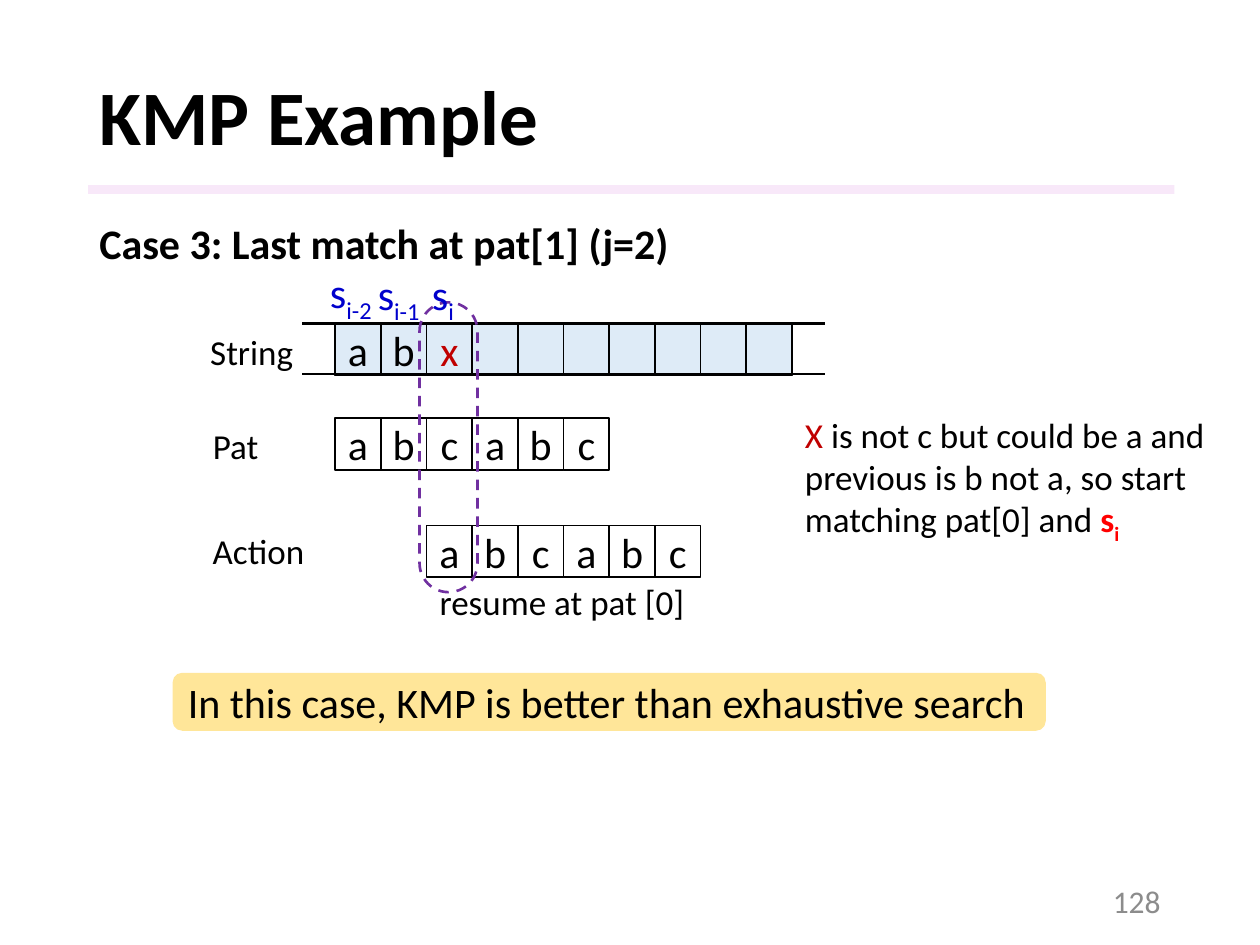
import pptx
import pptx.dml.color
import pptx.enum.dml
import pptx.enum.shapes
import pptx.enum.text
import pptx.oxml.ns
import pptx.util
from lxml import etree

Inches = pptx.util.Inches
Pt = pptx.util.Pt
RGBColor = pptx.dml.color.RGBColor
Shape = pptx.enum.shapes.MSO_SHAPE
Align = pptx.enum.text.PP_ALIGN
Anchor = pptx.enum.text.MSO_ANCHOR

FONT = "Calibri"
BLACK = RGBColor(0x00, 0x00, 0x00)
WHITE = RGBColor(0xFF, 0xFF, 0xFF)
GRAY = RGBColor(0x8C, 0x8C, 0x8C)
PINK = RGBColor(0xF3, 0xD2, 0xF4)
PALE_BLUE = RGBColor(0xDE, 0xEB, 0xF7)
BLUE = RGBColor(0x00, 0x00, 0xCC)
DARK_RED = RGBColor(0xC0, 0x00, 0x00)
RED = RGBColor(0xFF, 0x00, 0x00)
PURPLE = RGBColor(0x70, 0x30, 0xA0)
YELLOW = RGBColor(0xFF, 0xE6, 0x99)

CELL_STEP = 0.3625
CELL_HEIGHT = 0.41
FIRST_CELL = 2.66
STRING_TOP, PAT_TOP, ACTION_TOP = 2.57, 3.32, 4.17


def style(paragraph, size, color=None, bold=None, align=Align.LEFT):
    paragraph.alignment = align
    paragraph.font.name = FONT
    paragraph.font.size = Pt(size)
    paragraph.font.bold = bold
    if color is not None:
        paragraph.font.color.rgb = color


def add_label(shapes, text, box, size=20, color=BLACK, bold=None,
              align=Align.LEFT, wrap=False):
    label = shapes.add_textbox(*map(Inches, box))
    label.text_frame.word_wrap = wrap
    paragraph = label.text_frame.paragraphs[0]
    paragraph.text = text
    style(paragraph, size, color, bold, align)
    return label


def add_subscript(paragraph, text):
    run = paragraph.add_run()
    run.text = text
    run._r.get_or_add_rPr().set("baseline", "-25000")
    return run


def add_box(shapes, kind, box, fill=None, line=None, width=1):
    shape = shapes.add_shape(kind, *map(Inches, box))
    shape.shadow.inherit = False
    if fill is None:
        shape.fill.background()
    else:
        shape.fill.solid()
        shape.fill.fore_color.rgb = fill
    if line is None:
        shape.line.fill.background()
    else:
        shape.line.color.rgb = line
        shape.line.width = Pt(width)
    return shape


def add_cells(shapes, letters, start, top, fill=WHITE, colors=None):
    """Draw a row of character cells; start counts cells from the first column."""
    for column, letter in enumerate(letters, start):
        left = FIRST_CELL + column * CELL_STEP
        cell = add_box(shapes, Shape.RECTANGLE, (left, top, CELL_STEP, CELL_HEIGHT),
                       fill, BLACK)
        if letter.strip():
            frame = cell.text_frame
            frame.margin_left = frame.margin_right = 0
            frame.vertical_anchor = Anchor.MIDDLE
            frame.text = letter
            style(frame.paragraphs[0], 24, (colors or {}).get(letter, BLACK),
                  align=Align.CENTER)


def add_rail(shapes, y):
    rail = shapes.add_connector(pptx.enum.shapes.MSO_CONNECTOR.STRAIGHT,
                                Inches(2.4), Inches(y), Inches(6.55), Inches(y))
    rail.line.color.rgb = BLACK
    rail.line.width = Pt(1.5)
    etree.SubElement(rail._element.spPr, pptx.oxml.ns.qn("a:effectLst"))


def add_heading(slide):
    title = slide.shapes.title
    title.left, title.top, title.width, title.height = map(
        Inches, (0.69, 0.4, 8.62, 1.11))
    title.text_frame.text = "KMP Example"
    title.text_frame.vertical_anchor = Anchor.MIDDLE
    heading = title.text_frame.paragraphs[0]
    heading.line_spacing = 0.9
    style(heading, 44, BLACK, True)

    rule = add_box(slide.shapes, Shape.RECTANGLE, (0.7, 1.47, 8.62, 0.07), PINK)
    tint = rule._element.spPr.find(".//" + pptx.oxml.ns.qn("a:srgbClr"))
    etree.SubElement(tint, pptx.oxml.ns.qn("a:alpha"), val="50000")


def add_explanation(shapes):
    note = add_label(shapes, "", (6.29, 3.23, 3.45, 1.11), color=None, wrap=True)
    paragraph = note.text_frame.paragraphs[0]
    for text, color in (
            ("X ", DARK_RED),
            ("is not c but could be a and previous is b not a, "
             "so start matching pat[0] and ", BLACK),
            ("s", RED)):
        run = paragraph.add_run()
        run.text = text
        run.font.color.rgb = color
    run.font.bold = True
    index = add_subscript(paragraph, "i")
    index.font.color.rgb = RED
    index.font.bold = True


def main():
    prs = pptx.Presentation()
    prs.slide_width, prs.slide_height = Inches(10), Inches(7.5)
    slide = prs.slides.add_slide(prs.slide_layouts[5])
    shapes = slide.shapes

    # Title, rule, page number and case
    add_heading(slide)
    page = add_label(shapes, "128", (7.06, 6.95, 2.25, 0.4), 18, GRAY,
                     align=Align.RIGHT, wrap=True)
    page.text_frame.vertical_anchor = Anchor.MIDDLE
    add_label(shapes, "Case 3: Last match at pat[1] (j=2)",
              (0.69, 1.68, 4.77, 0.5), 24, bold=True)

    # String row between two rails
    add_cells(shapes, "abx".ljust(10), 0, STRING_TOP, PALE_BLUE, {"x": DARK_RED})
    for y in (STRING_TOP, STRING_TOP + 0.4):
        add_rail(shapes, y)
    add_label(shapes, "String", (1.57, 2.57, 0.87, 0.44))

    # Pattern row
    pattern = shapes.add_group_shape().shapes
    add_cells(pattern, "abcabc", 0, PAT_TOP)
    add_label(pattern, "Pat", (1.59, 3.32, 0.58, 0.44))

    # Shifted pattern and the compared column
    action = shapes.add_group_shape().shapes
    add_cells(action, "abcabc", 2, ACTION_TOP)
    add_label(action, "Action", (1.59, 4.15, 0.94, 0.44))
    add_label(action, "resume at pat [0]", (3.39, 4.56, 2.16, 0.44))
    compared = add_box(action, Shape.ROUNDED_RECTANGLE, (3.33, 2.4, 0.46, 2.3),
                       line=PURPLE, width=1.5)
    compared.adjustments[0] = 0.5
    compared.line.dash_style = pptx.enum.dml.MSO_LINE.DASH

    # Conclusion
    conclusion = add_box(shapes, Shape.ROUNDED_RECTANGLE,
                         (1.37, 5.34, 6.93, 0.46), YELLOW)
    conclusion.text_frame.vertical_anchor = Anchor.MIDDLE
    conclusion.text_frame.text = "In this case, KMP is better than exhaustive search"
    style(conclusion.text_frame.paragraphs[0], 24, BLACK)

    # Index labels over the string
    for index, left, top, width in (("i-2", 2.52, 2.07, 0.57),
                                    ("i-1", 2.9, 2.08, 0.57),
                                    ("i", 3.33, 2.08, 0.38)):
        label = add_label(shapes, "s", (left, top, width, 0.5), 24, BLUE)
        add_subscript(label.text_frame.paragraphs[0], index)

    add_explanation(shapes)
    prs.save("out.pptx")


if __name__ == "__main__":
    main()
